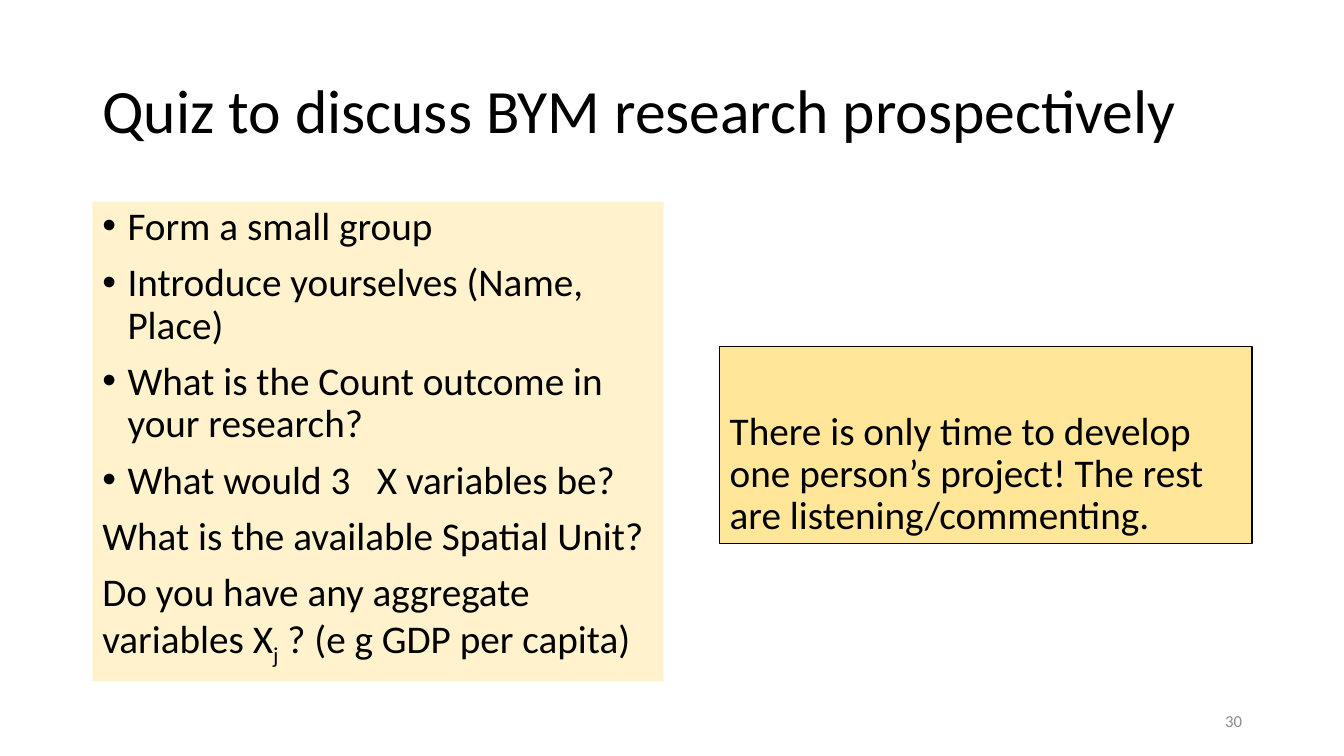
from dataclasses import dataclass

from lxml import etree
from pptx import Presentation
from pptx.dml.color import RGBColor
from pptx.enum.shapes import MSO_SHAPE
from pptx.enum.text import MSO_ANCHOR, MSO_AUTO_SIZE, PP_ALIGN
from pptx.oxml.ns import qn
from pptx.slide import Slide
from pptx.text.text import TextFrame
from pptx.util import Inches, Pt

RECTANGLE = MSO_SHAPE.RECTANGLE
TOP, MIDDLE, BOTTOM = MSO_ANCHOR.TOP, MSO_ANCHOR.MIDDLE, MSO_ANCHOR.BOTTOM
LEFT, RIGHT = PP_ALIGN.LEFT, PP_ALIGN.RIGHT
NO_FIT = MSO_AUTO_SIZE.NONE

PAGE_WIDTH = Inches(13.33)
PAGE_HEIGHT = Inches(7.5)


@dataclass(frozen=True)
class Theme:
    font: str = "Calibri"
    ink: str = "000000"
    muted: str = "8C8C8C"
    question_fill: str = "FFF2CC"
    note_fill: str = "FFE699"
    title_size: int = 44
    body_size: int = 28
    number_size: int = 12


THEME = Theme()


@dataclass(frozen=True)
class Area:
    """A rectangle in percent of the page's width and height."""
    left: float
    top: float
    width: float
    height: float

    def lengths(self) -> dict[str, int]:
        return {
            "left": round(PAGE_WIDTH * self.left / 100),
            "top": round(PAGE_HEIGHT * self.top / 100),
            "width": round(PAGE_WIDTH * self.width / 100),
            "height": round(PAGE_HEIGHT * self.height / 100),
        }


@dataclass(frozen=True)
class Span:
    text: str
    subscript: bool = False


@dataclass(frozen=True)
class Line:
    spans: tuple[Span, ...]
    bullet: bool = False


@dataclass(frozen=True)
class TextStyle:
    size: int
    color: str = THEME.ink
    anchor: MSO_ANCHOR = TOP
    align: PP_ALIGN = LEFT
    line_spacing: float = 0.9
    space_before: int = 0


@dataclass(frozen=True)
class Panel:
    area: Area
    fill: str
    lines: tuple[Line, ...]
    style: TextStyle
    border: str | None = None


def line(text: str, bullet: bool = False) -> Line:
    return Line((Span(text),), bullet)


TITLE_AREA = Area(6.88, 5.33, 86.25, 19.33)
NUMBER_AREA = Area(70.67, 92.67, 22.5, 5.33)
TITLE_STYLE = TextStyle(THEME.title_size, anchor=MIDDLE)
NUMBER_STYLE = TextStyle(THEME.number_size, THEME.muted, MIDDLE, RIGHT, 1.0)

PANELS = (
    Panel(
        Area(6.88, 26.67, 42.5, 63.47),
        THEME.question_fill,
        (
            line("Form a small group", bullet=True),
            line("Introduce yourselves (Name, Place)", bullet=True),
            line("What is the Count outcome in your research?", bullet=True),
            line("What would 3   X variables be?", bullet=True),
            line("What is the available Spatial Unit?"),
            Line((
                Span("Do you have any aggregate variables X"),
                Span("j", subscript=True),
                Span(" ? (e g GDP per capita)"),
            )),
        ),
        TextStyle(THEME.body_size, space_before=10),
    ),
    Panel(
        Area(53.56, 45.87, 39.6, 26),
        THEME.note_fill,
        (line("There is only time to develop one person’s project! "
              "The rest are listening/commenting."),),
        TextStyle(THEME.body_size, anchor=BOTTOM, space_before=10),
        border=THEME.ink,
    ),
)


def apply(target: object, values: dict[str, object]) -> None:
    for name, value in values.items():
        setattr(target, name, value)


def add_bullet(paragraph_properties: etree._Element) -> None:
    indent = Inches(0.25)
    paragraph_properties.set("marL", str(indent))
    paragraph_properties.set("indent", str(-indent))
    etree.SubElement(paragraph_properties, qn("a:buFont"), typeface="Arial")
    etree.SubElement(paragraph_properties, qn("a:buChar"), char="•")


def write(frame: TextFrame, lines: tuple[Line, ...], style: TextStyle) -> None:
    apply(frame, {"word_wrap": True, "auto_size": NO_FIT,
                  "vertical_anchor": style.anchor})
    for index, content in enumerate(lines):
        para = frame.add_paragraph() if index else frame.paragraphs[0]
        apply(para, {"alignment": style.align,
                     "line_spacing": style.line_spacing,
                     "space_before": Pt(style.space_before)})
        if content.bullet:
            add_bullet(para._p.get_or_add_pPr())
        for span in content.spans:
            run = para.add_run()
            run.text = span.text
            apply(run.font, {"name": THEME.font, "size": Pt(style.size)})
            run.font.color.rgb = RGBColor.from_string(style.color)
            if span.subscript:
                run.font._element.set("baseline", "-25000")


def add_panel(page: Slide, panel: Panel) -> None:
    box = page.shapes.add_shape(RECTANGLE, **panel.area.lengths())
    box.shadow.inherit = False
    box.fill.solid()
    box.fill.fore_color.rgb = RGBColor.from_string(panel.fill)
    if panel.border:
        box.line.color.rgb = RGBColor.from_string(panel.border)
        box.line.width = Pt(1)
    else:
        box.line.fill.background()
    write(box.text_frame, panel.lines, panel.style)


def main() -> None:
    deck = Presentation()
    apply(deck, {"slide_width": PAGE_WIDTH, "slide_height": PAGE_HEIGHT})
    page = deck.slides.add_slide(deck.slide_layouts.get_by_name("Title Only"))

    title = page.shapes.title
    apply(title, TITLE_AREA.lengths())
    write(title.text_frame,
          (line("Quiz to discuss BYM research prospectively"),), TITLE_STYLE)

    for panel in PANELS:
        add_panel(page, panel)

    number = page.shapes.add_textbox(**NUMBER_AREA.lengths())
    write(number.text_frame, (line("30"),), NUMBER_STYLE)
    deck.save("out.pptx")


if __name__ == "__main__":
    main()
